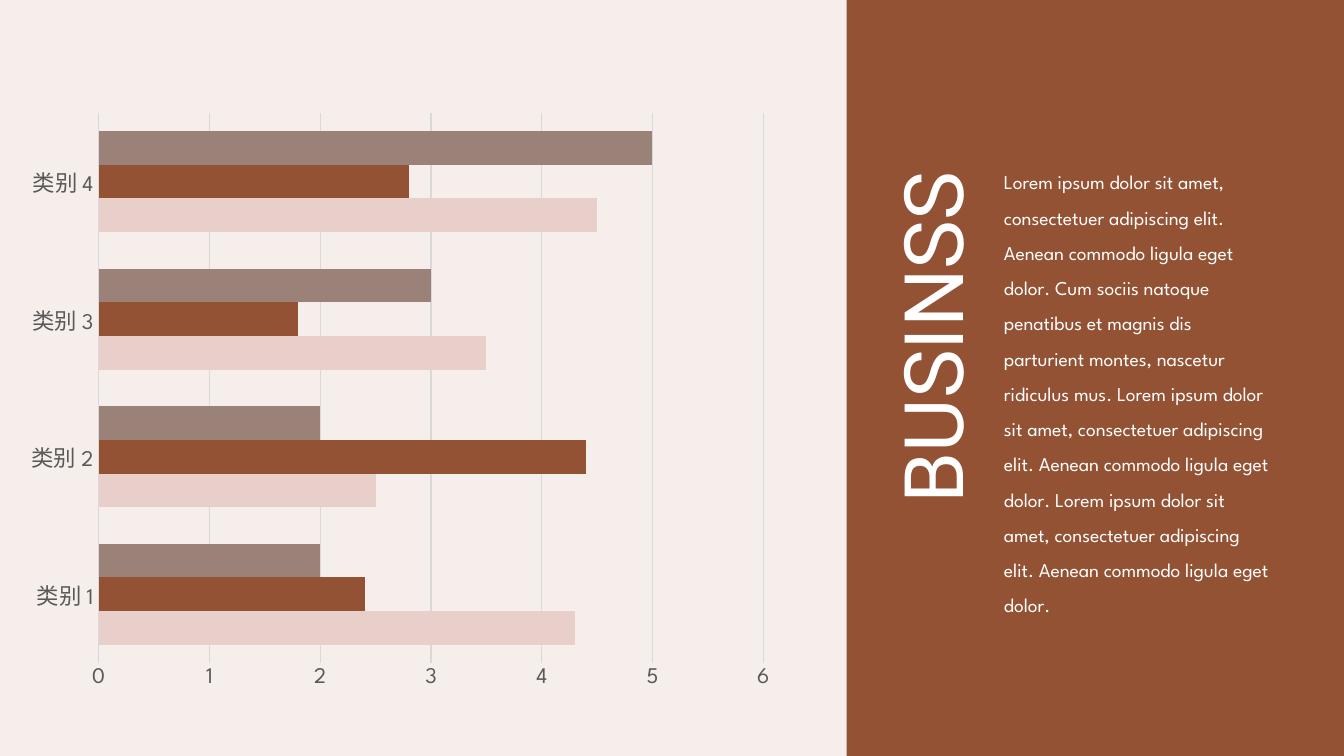
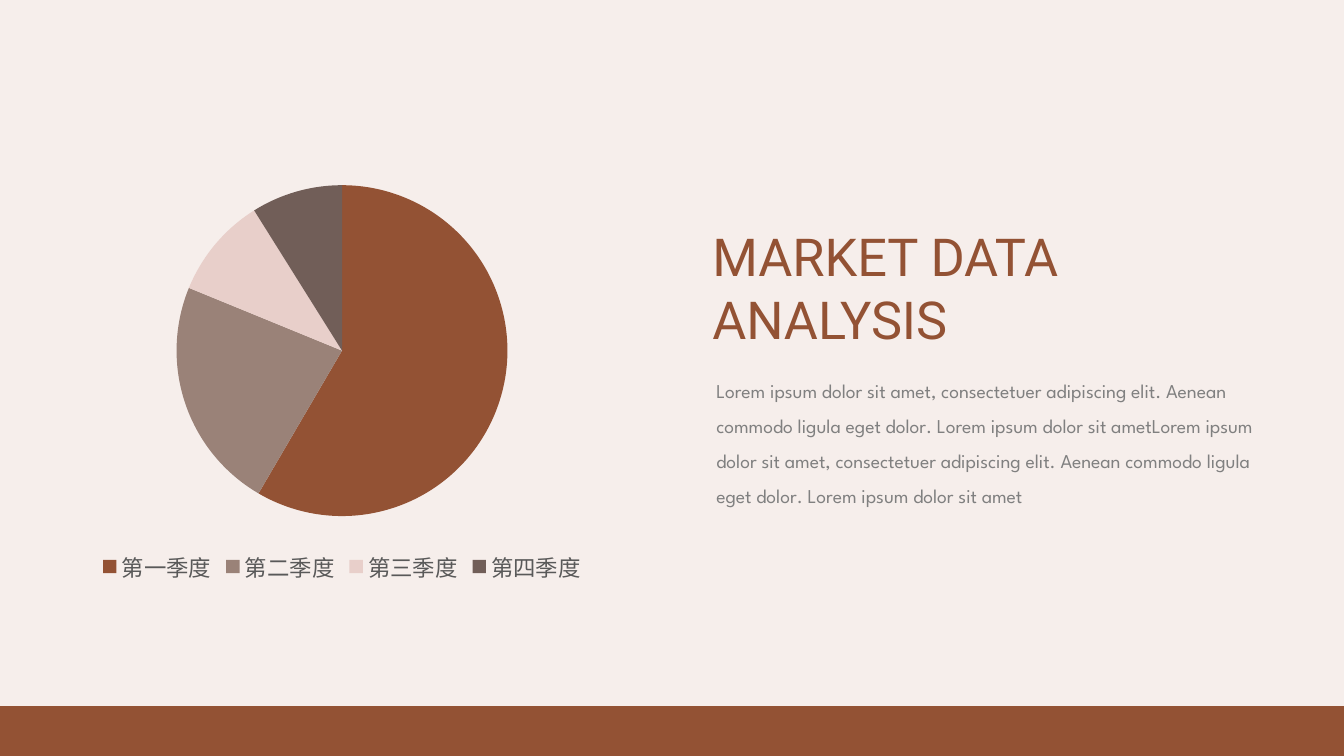
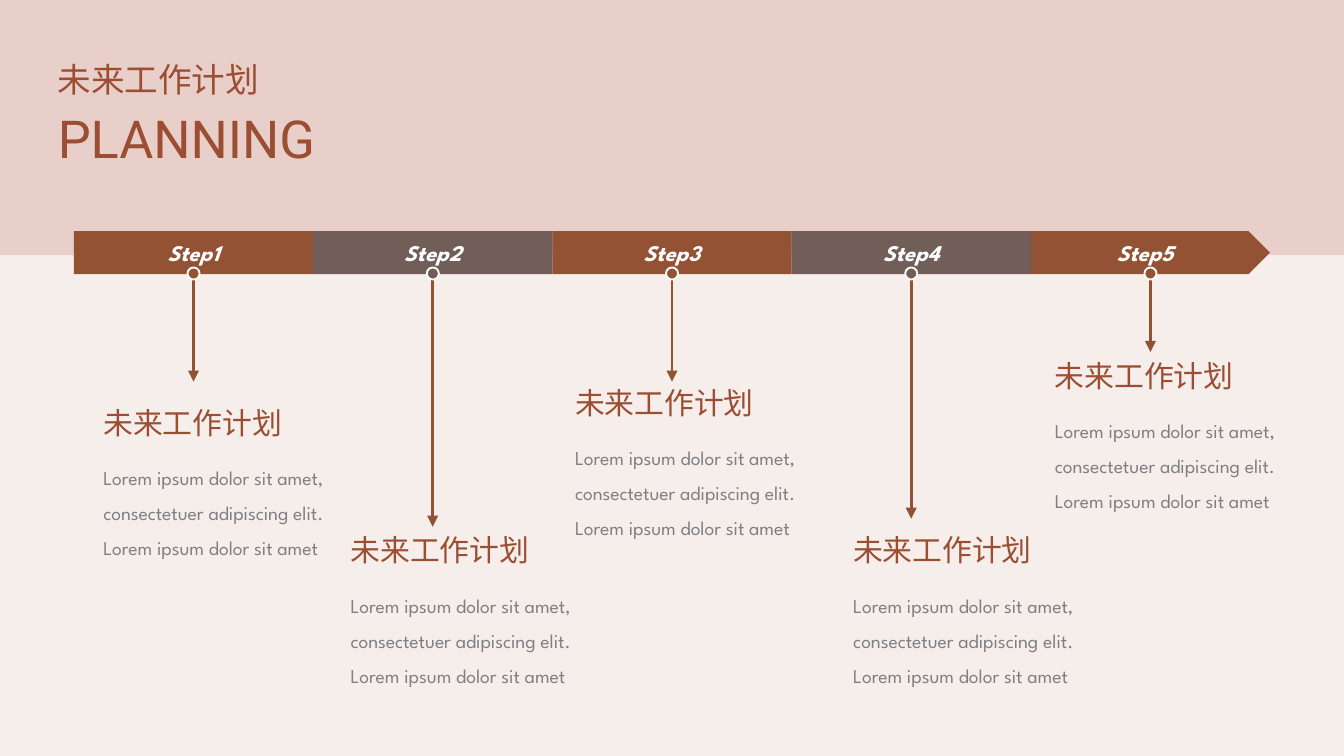
from pptx import Presentation
from pptx.chart.data import CategoryChartData
from pptx.dml.color import RGBColor
from pptx.enum.chart import XL_CHART_TYPE, XL_LEGEND_POSITION, XL_TICK_MARK
from pptx.enum.shapes import MSO_CONNECTOR, MSO_SHAPE
from pptx.enum.text import MSO_ANCHOR, MSO_AUTO_SIZE, PP_ALIGN
from pptx.oxml.ns import qn
from pptx.oxml.xmlchemy import OxmlElement
from pptx.util import Inches, Pt

RECTANGLE = MSO_SHAPE.RECTANGLE
PENTAGON = MSO_SHAPE.PENTAGON
OVAL = MSO_SHAPE.OVAL
STRAIGHT = MSO_CONNECTOR.STRAIGHT
BAR = XL_CHART_TYPE.BAR_CLUSTERED
PIE = XL_CHART_TYPE.PIE
LEGEND_BOTTOM = XL_LEGEND_POSITION.BOTTOM
NO_TICK = XL_TICK_MARK.NONE
LEFT, CENTER, JUSTIFY = PP_ALIGN.LEFT, PP_ALIGN.CENTER, PP_ALIGN.JUSTIFY
TOP, MIDDLE = MSO_ANCHOR.TOP, MSO_ANCHOR.MIDDLE
GROW = MSO_AUTO_SIZE.SHAPE_TO_FIT_TEXT

SLIDE_WIDTH = 10
SLIDE_HEIGHT = SLIDE_WIDTH * 9 / 16

CREAM = "F6EEEB"
BROWN = "935234"
RUST = "9B4E32"
TAUPE = "9A8278"
PINK = "E8CFCA"
UMBER = "715E58"
WHITE = "FFFFFF"
BODY_GREY = "808080"
LABEL_GREY = "595959"
GRID_GREY = "D9D9D9"
HEADING_FONT = "Roboto"
BODY_FONT = "League Spartan"

TITLE_AND_BODY, TITLE_ONLY = 1, 5

LOREM = "Lorem ipsum dolor sit amet"
ADIPISCING = f"{LOREM}, consectetuer adipiscing elit."
AENEAN = f"{ADIPISCING} Aenean commodo ligula eget dolor."
BUSINESS_TEXT = (
    f"{AENEAN} Cum sociis natoque penatibus et magnis dis parturient montes, "
    f"nascetur ridiculus mus. {AENEAN} {AENEAN}"
)
MARKET_TEXT = f"{AENEAN} {LOREM}{AENEAN} {LOREM}"
PLAN_HEADING = "未来工作计划"
PLAN_TEXT = f"{ADIPISCING} {LOREM}"

STEP_LEFT, STEP_TOP, STEP_WIDTH, STEP_HEIGHT = 0.55, 1.72, 1.78, 0.32
DOT_SIZE = 0.09
ARROW_TOP = 2.05
PLANS = [
    (0.67, 2.96, 2.84),
    (2.51, 3.91, 3.92),
    (4.18, 2.81, 2.84),
    (6.25, 3.91, 3.86),
    (7.75, 2.61, 2.62),
]


def rgb(value):
    return RGBColor.from_string(value)


def inches(*lengths):
    return [Inches(length) for length in lengths]


def style_font(font, size, color, name=BODY_FONT):
    font.size = Pt(size)
    font.name = name
    font.color.rgb = rgb(color)


def write(shape, text, size, color, font=BODY_FONT, align=LEFT, anchor=TOP,
          spacing=1.0, wrap=True, emphasis=False):
    frame = shape.text_frame
    frame.word_wrap = wrap
    frame.vertical_anchor = anchor
    paragraph = frame.paragraphs[0]
    paragraph.alignment = align
    paragraph.line_spacing = spacing
    paragraph.space_before = Pt(0)
    run = paragraph.add_run()
    run.text = text
    style_font(run.font, size, color, font)
    if emphasis:
        run.font.bold = run.font.italic = True


def add_text(slide, box, text, size, color, **options):
    label = slide.shapes.add_textbox(*inches(*box))
    write(label, text, size, color, **options)
    label.text_frame.auto_size = GROW


def place(placeholder, box):
    placeholder.left, placeholder.top, placeholder.width, placeholder.height = inches(*box)
    placeholder.text_frame.auto_size = GROW
    tree = placeholder.element.getparent()
    tree.append(placeholder.element)


def add_title(slide, box, text, size, color, **options):
    title = slide.shapes.title
    place(title, box)
    write(title, text, size, color, font=HEADING_FONT, **options)
    return title


def add_body(slide, box, text, color):
    body = slide.placeholders[1]
    place(body, box)
    properties = body.text_frame.paragraphs[0]._p.get_or_add_pPr()
    properties.set("marL", "0")
    properties.set("indent", "0")
    properties.append(OxmlElement("a:buNone"))
    write(body, text, 10.5, color, spacing=1.5)


def add_block(slide, kind, box, fill, outline=None):
    block = slide.shapes.add_shape(kind, *inches(*box))
    block.shadow.inherit = False
    block.fill.solid()
    block.fill.fore_color.rgb = rgb(fill)
    if outline:
        block.line.color.rgb = rgb(outline)
        block.line.width = Pt(1)
    else:
        block.line.fill.background()
    return block


def add_arrow(slide, x, top, tip):
    arrow = slide.shapes.add_connector(STRAIGHT, *inches(x, tip, x, top))
    arrow.line.color.rgb = rgb(BROWN)
    arrow.line.width = Pt(1.5)
    properties = arrow.element.spPr
    head = OxmlElement("a:headEnd")
    head.set("type", "triangle")
    properties.find(qn("a:ln")).append(head)
    properties.append(OxmlElement("a:effectLst"))


def add_chart(slide, kind, box, categories, series):
    data = CategoryChartData()
    data.categories = categories
    for number, values in enumerate(series, 1):
        data.add_series(f"Series {number}", values)
    chart = slide.shapes.add_chart(kind, *inches(*box), data).chart
    chart.has_title = False
    chart.has_legend = False
    style_font(chart.font, 10, "000000")
    return chart


def fill_parts(parts, colors):
    for part, color in zip(parts, colors):
        part.format.fill.solid()
        part.format.fill.fore_color.rgb = rgb(color)


def style_line(line):
    line.color.rgb = rgb(GRID_GREY)
    line.width = Pt(0.75)


def add_bar_chart(slide):
    chart = add_chart(
        slide, BAR, (0.12, 0.75, 5.72, 4.47),
        [f"类别 {number}" for number in range(1, 5)],
        [(4.3, 2.5, 3.5, 4.5), (2.4, 4.4, 1.8, 2.8), (2, 2, 3, 5)],
    )
    plot = chart.plots[0]
    plot.gap_width = 109
    plot.vary_by_categories = False
    fill_parts(plot.series, [PINK, BROWN, TAUPE])
    for axis in (chart.category_axis, chart.value_axis):
        axis.major_tick_mark = axis.minor_tick_mark = NO_TICK
        style_font(axis.tick_labels.font, 12, LABEL_GREY)
    style_line(chart.category_axis.format.line)
    values = chart.value_axis
    values.minimum_scale, values.maximum_scale, values.major_unit = 0, 6, 1
    values.format.line.fill.background()
    values.has_major_gridlines = True
    style_line(values.major_gridlines.format.line)


def add_pie_chart(slide):
    chart = add_chart(
        slide, PIE, (0.19, 1.24, 4.71, 3.14),
        [f"第{ordinal}季度" for ordinal in "一二三四"], [(59, 23, 10, 9)],
    )
    plot = chart.plots[0]
    plot.vary_by_categories = True
    quarters = plot.series[0].points
    fill_parts([quarters[i] for i in range(4)], [BROWN, TAUPE, PINK, UMBER])
    chart.has_legend = True
    chart.legend.position = LEGEND_BOTTOM
    chart.legend.include_in_layout = False
    style_font(chart.legend.font, 12, LABEL_GREY)


def add_slide(prs, layout):
    return prs.slides.add_slide(prs.slide_layouts[layout])


def build_business(prs):
    slide = add_slide(prs, TITLE_AND_BODY)
    add_bar_chart(slide)
    add_block(slide, RECTANGLE, (6.3, 0, 3.7, SLIDE_HEIGHT), BROWN)
    title = add_title(slide, (5.54, 2.09, 2.78, 0.84), "BUSINSS", 44, WHITE,
                      align=CENTER, wrap=False)
    title.rotation = 270
    add_body(slide, (7.37, 1.13, 2.17, 4.04), BUSINESS_TEXT, WHITE)


def build_market(prs):
    slide = add_slide(prs, TITLE_AND_BODY)
    add_pie_chart(slide)
    add_title(slide, (5.2, 1.62, 3.78, 1.04), "MARKET DATA ANALYSIS", 28, BROWN)
    add_body(slide, (5.23, 2.68, 4.3, 1.39), MARKET_TEXT, BODY_GREY)
    band_height = 0.37
    add_block(slide, RECTANGLE,
              (0, SLIDE_HEIGHT - band_height, SLIDE_WIDTH, band_height), BROWN)


def build_planning(prs):
    slide = add_slide(prs, TITLE_ONLY)
    add_block(slide, RECTANGLE, (0, 0, SLIDE_WIDTH, 1.9), PINK)
    lefts = [STEP_LEFT + i * STEP_WIDTH for i in range(len(PLANS))]
    centers = [left + STEP_WIDTH / 2 for left in lefts]
    colors = [UMBER if i % 2 else BROWN for i in range(len(PLANS))]
    for center, (_, _, tip) in zip(centers, PLANS):
        add_arrow(slide, center, ARROW_TOP, tip)
    for number, (left, color) in enumerate(zip(lefts, colors), 1):
        kind = PENTAGON if number == len(PLANS) else RECTANGLE
        step = add_block(slide, kind, (left, STEP_TOP, STEP_WIDTH, STEP_HEIGHT), color)
        write(step, f"Step{number}", 12, WHITE, align=CENTER, anchor=MIDDLE, emphasis=True)
    for center, color in zip(centers, colors):
        add_block(slide, OVAL, (center - DOT_SIZE / 2, 1.99, DOT_SIZE, DOT_SIZE), color, WHITE)
    for left, top, _ in PLANS:
        add_text(slide, (left, top, 2.49, 0.37), PLAN_HEADING, 16, RUST)
        add_text(slide, (left, top + 0.37, 1.89, 1.13), PLAN_TEXT, 10.5, BODY_GREY, spacing=1.5)
    add_title(slide, (0.33, 0.74, 3.69, 0.57), "PLANNING", 28, RUST)
    add_text(slide, (0.33, 0.39, 1.72, 0.4), PLAN_HEADING, 18, RUST, align=JUSTIFY, wrap=False)


def main():
    prs = Presentation()
    prs.slide_width, prs.slide_height = inches(SLIDE_WIDTH, SLIDE_HEIGHT)
    background = prs.slide_master.background.fill
    background.solid()
    background.fore_color.rgb = rgb(CREAM)
    build_business(prs)
    build_market(prs)
    build_planning(prs)
    prs.save("out.pptx")


if __name__ == "__main__":
    main()
